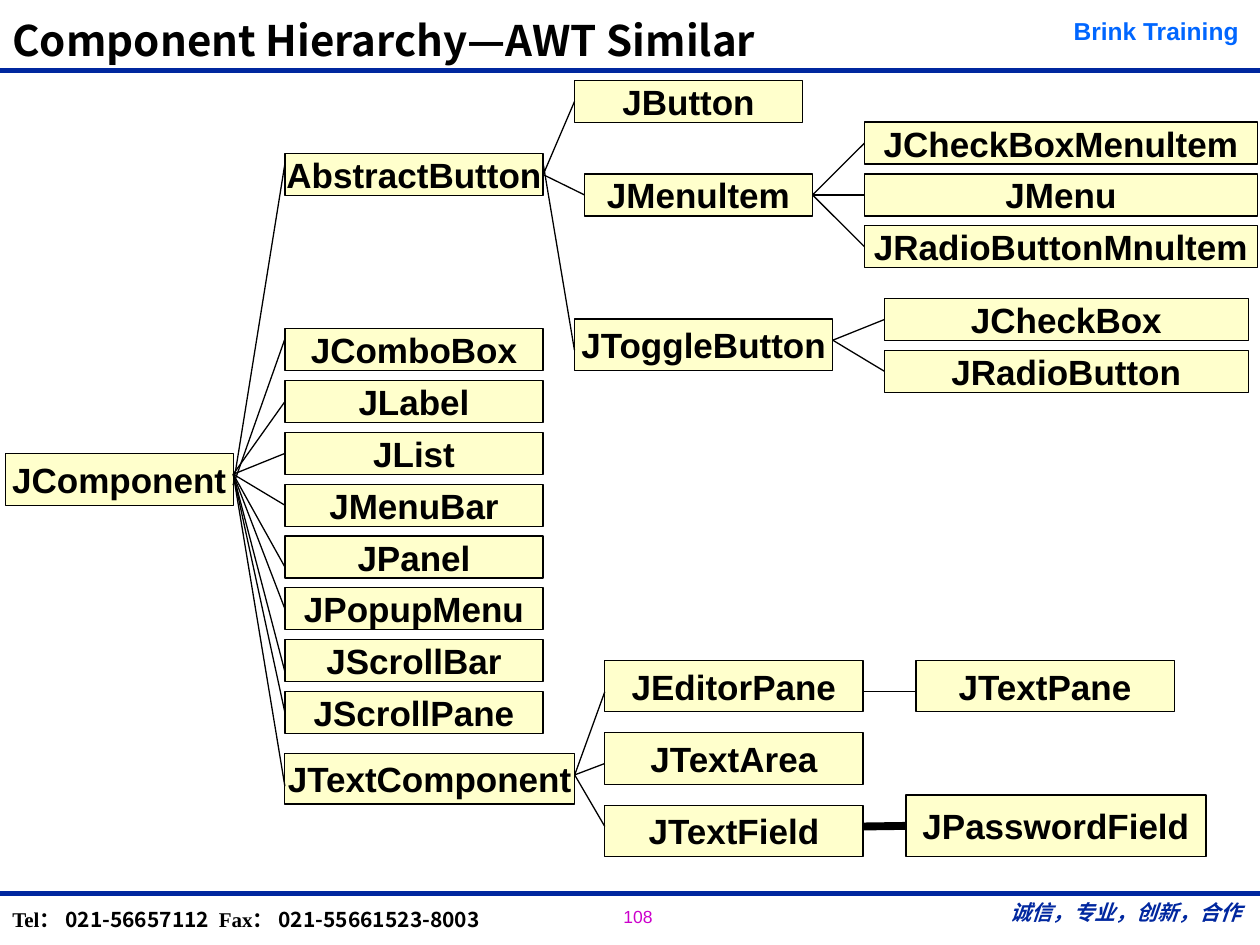
from lxml import etree
from pptx import Presentation
from pptx.dml.color import RGBColor
from pptx.enum.shapes import MSO_CONNECTOR, MSO_SHAPE
from pptx.enum.text import MSO_ANCHOR, PP_ALIGN
from pptx.oxml.ns import qn
from pptx.util import Pt

STRAIGHT = MSO_CONNECTOR.STRAIGHT
RECTANGLE = MSO_SHAPE.RECTANGLE
LEFT, CENTER = PP_ALIGN.LEFT, PP_ALIGN.CENTER
TOP, MIDDLE, BOTTOM = MSO_ANCHOR.TOP, MSO_ANCHOR.MIDDLE, MSO_ANCHOR.BOTTOM
LEFT_SIDE, RIGHT_SIDE = 1, 3

BLACK = RGBColor(0x00, 0x00, 0x00)
NAVY = RGBColor(0x00, 0x27, 0x9F)
BLUE = RGBColor(0x00, 0x66, 0xFF)
MAGENTA = RGBColor(0xCC, 0x00, 0xCC)
CREAM = RGBColor(0xFF, 0xFF, 0xCC)

SANS, SERIF, CJK = "Arial", "Times New Roman", "Noto Sans CJK SC"
SLIDE_W, SLIDE_H = 720, 540

# Class boxes: left, first top, width, height, row pitch, names from top down
CLASS_COLUMNS = [
    (0, 213.2, 130.3, 29.5, 0, ["JComponent"]),
    (159.8, 41.8, 147.6, 24, 0, ["AbstractButton"]),
    (159.8, 141.9, 147.6, 24, 29.6,
     ["JComboBox", "JLabel", "JList", "JMenuBar", "JPanel", "JPopupMenu",
      "JScrollBar", "JScrollPane"]),
    (159.8, 384.6, 165.6, 28.8, 0, ["JTextComponent"]),
    (325.3, 0, 130.3, 24, 0, ["JButton"]),
    (331, 53.4, 130.3, 24, 0, ["JMenultem"]),
    (325.3, 136.2, 147.6, 29.5, 0, ["JToggleButton"]),
    (491, 23.8, 224.6, 24, 29.6,
     ["JCheckBoxMenultem", "JMenu", "JRadioButtonMnultem"]),
    (502.4, 124.6, 208, 24, 29.6, ["JCheckBox", "JRadioButton"]),
    (342.6, 331.3, 147.6, 29.5, 41.4,
     ["JEditorPane", "JTextArea", "JTextField"]),
    (520.4, 331.3, 147.6, 29.5, 0, ["JTextPane"]),
    (514.7, 408.3, 171.4, 35.3, 0, ["JPasswordField"]),
]

# Parent, then (child, y at parent, y at child); None is the middle of the side
BRANCHES = [
    ("JComponent", [
        ("AbstractButton", 231.2, 47.6), ("JComboBox", 231.2, 147.7),
        ("JLabel", 225, None), ("JList", 225, None), ("JMenuBar", 225, None),
        ("JPanel", 225, 278), ("JPopupMenu", 225, None),
        ("JScrollBar", 225, 337.8), ("JScrollPane", 225, None),
        ("JTextComponent", 225, 403.3)]),
    ("AbstractButton", [
        ("JButton", None, None), ("JMenultem", None, None),
        ("JToggleButton", 47.6, 154.2)]),
    ("JMenultem", [
        ("JCheckBoxMenultem", None, None), ("JMenu", None, None),
        ("JRadioButtonMnultem", None, None)]),
    ("JToggleButton", [
        ("JCheckBox", 148.4, None), ("JRadioButton", 148.4, None)]),
    ("JTextComponent", [
        ("JEditorPane", 396.8, 349.3), ("JTextArea", 396.8, 390.3),
        ("JTextField", 396.8, 426.3)]),
    ("JEditorPane", [("JTextPane", 349.3, 349.3)]),
    ("JTextField", [("JPasswordField", 426.3, None)]),
]
THICK_BRANCH = ("JTextField", "JPasswordField")


def style_run(run, size, font, color, bold=True, italic=False):
    run.font.size = Pt(size)
    run.font.name = font
    run.font.color.rgb = color
    run.font.bold = bold
    run.font.italic = italic
    etree.SubElement(run._r.get_or_add_rPr(), qn("a:ea"), typeface=CJK)


def add_label(slide, left, top, width, height, runs, align=LEFT, anchor=TOP,
              wrap=True):
    """Place a one-paragraph text box; runs are (text, style arguments...)."""
    label = slide.shapes.add_textbox(Pt(left), Pt(top), Pt(width), Pt(height))
    frame = label.text_frame
    frame.word_wrap = wrap
    frame.vertical_anchor = anchor
    paragraph = frame.paragraphs[0]
    paragraph.alignment = align
    for text, *style in runs:
        run = paragraph.add_run()
        run.text = text
        style_run(run, *style)
    return paragraph


def add_line(slide, x1, y1, x2, y2, color, weight):
    line = slide.shapes.add_connector(STRAIGHT, Pt(x1), Pt(y1), Pt(x2), Pt(y2))
    line.line.color.rgb = color
    line.line.width = Pt(weight)
    etree.SubElement(line._element.spPr, qn("a:effectLst"))
    return line


def add_header(slide, left, top, width, height):
    add_line(slide, left, top + height, left + width, top + height, NAVY, 2.75)
    add_label(slide, left + 603.4, top + 5.8, 114.5, 23.8,
              [("Brink Training", 14, SANS, BLUE)], CENTER)
    title = add_label(slide, left, top, 600.5, 41,
                      [("Component Hierarchy—AWT Similar", 24, CJK, BLACK)],
                      anchor=BOTTOM)
    title.line_spacing = 0.87


def add_footer(slide, left, top, width):
    add_line(slide, left, top, left + width, top, NAVY, 2.75)
    add_label(slide, left, top - 8, 308.9, 36, [
        ("Tel： ", 12, SERIF, BLACK),
        ("021-56657112", 12, CJK, BLACK),
        (" ", 24, CJK, BLACK, True, True),
        ("Fax： ", 12, SERIF, BLACK),
        ("021-55661523-8003", 12, CJK, BLACK)])
    add_label(slide, left + 349.2, top + 3.6, 59.8, 18.7,
              [("108", 10, SANS, MAGENTA, False)], wrap=False)
    add_label(slide, left + 564.5, top - 5.8, 154, 28.8, [
        (" ", 18, SERIF, NAVY, True, True),
        ("诚信，专业，创新，合作", 12, SERIF, NAVY, True, True)], CENTER)


def add_class_box(slide, left, top, width, height, name):
    box = slide.shapes.add_shape(RECTANGLE, Pt(left), Pt(top), Pt(width), Pt(height))
    box.shadow.inherit = False
    box.fill.solid()
    box.fill.fore_color.rgb = CREAM
    box.line.color.rgb = BLACK
    box.line.width = Pt(0.75)
    frame = box.text_frame
    frame.text = name
    frame.word_wrap = False
    frame.vertical_anchor = MIDDLE
    frame.paragraphs[0].alignment = CENTER
    style_run(frame.paragraphs[0].runs[0], 20, SANS, BLACK)
    return box


def add_hierarchy(slide, left, top):
    # Class boxes
    boxes = {}
    for x, y, width, height, pitch, names in CLASS_COLUMNS:
        for row, name in enumerate(names):
            boxes[name] = add_class_box(slide, left + x, top + y + row * pitch,
                                        width, height, name)

    # Inheritance lines
    for parent, children in BRANCHES:
        parent_box = boxes[parent]
        parent_x = parent_box.left.pt + parent_box.width.pt
        for child, parent_y, child_y in children:
            child_box = boxes[child]
            weight = 4.5 if (parent, child) == THICK_BRANCH else 0.75
            branch = add_line(slide, parent_x, top + (parent_y or 0),
                              child_box.left.pt, top + (child_y or 0),
                              BLACK, weight)
            if parent_y is None:
                branch.begin_connect(parent_box, RIGHT_SIDE)
            if child_y is None:
                branch.end_connect(child_box, LEFT_SIDE)


def main():
    presentation = Presentation()
    presentation.slide_width = Pt(SLIDE_W)
    presentation.slide_height = Pt(SLIDE_H)
    slide = presentation.slides.add_slide(presentation.slide_layouts[6])
    add_header(slide, 0, 0, SLIDE_W, 40.5)
    add_footer(slide, 0, 510.5, SLIDE_W)
    add_hierarchy(slide, 3, 46)
    presentation.save("out.pptx")


if __name__ == "__main__":
    main()
